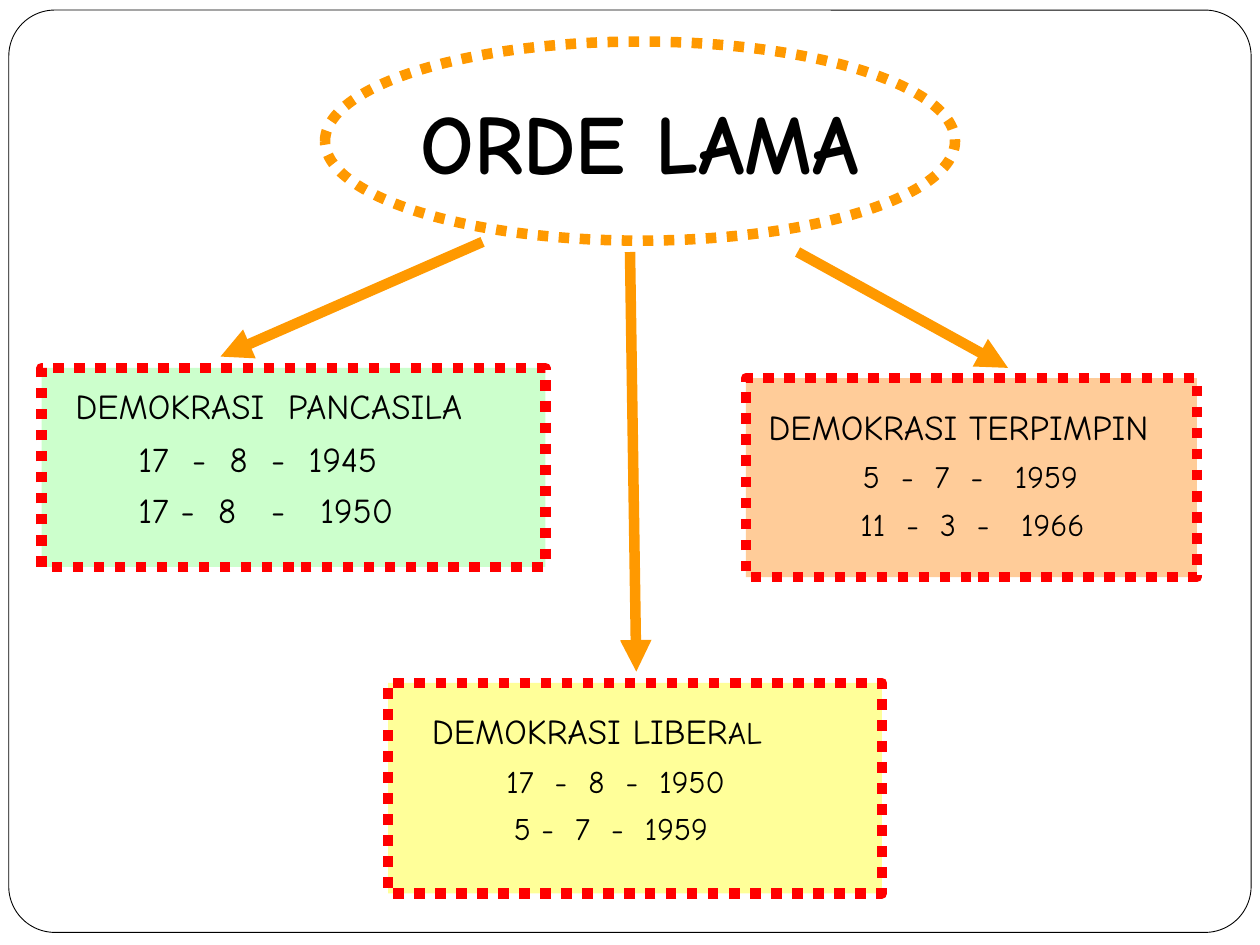
"""Build the ORDE LAMA slide: one title oval leading to three democracy periods."""
from dataclasses import dataclass

from lxml import etree
from pptx import Presentation
from pptx.dml.color import RGBColor
from pptx.enum.dml import MSO_LINE
from pptx.enum.shapes import MSO_CONNECTOR, MSO_SHAPE
from pptx.enum.text import MSO_ANCHOR, PP_ALIGN
from pptx.oxml.ns import qn
from pptx.util import Inches, Pt

RECTANGLE = MSO_SHAPE.RECTANGLE
ROUNDED = MSO_SHAPE.ROUNDED_RECTANGLE
OVAL = MSO_SHAPE.OVAL
STRAIGHT = MSO_CONNECTOR.STRAIGHT
DOTTED = MSO_LINE.ROUND_DOT
LEFT, CENTER = PP_ALIGN.LEFT, PP_ALIGN.CENTER
TOP, MIDDLE = MSO_ANCHOR.TOP, MSO_ANCHOR.MIDDLE

FONT = "Comic Neue"
BLACK, WHITE, RED, ORANGE = "000000", "FFFFFF", "FF0000", "FF9900"
THICK = 6


@dataclass
class Label:
    """A line of text, as (text, size) runs, in its own box."""
    runs: list[tuple[str, int]]
    box: tuple[float, float, float, float]


@dataclass
class Period:
    """A coloured panel, the arrow that leads to it and its labels."""
    box: tuple[float, float, float, float]
    fill: str
    arrow: tuple[float, float, float, float]
    labels: list[Label]


PERIODS = [
    Period((0.33, 2.92, 4, 1.58), "CCFFCC", (3.83, 1.92, 1.75, 2.83), [
        Label([("DEMOKRASI  PANCASILA", 20)], (0.5, 3, 3.75, 0.43)),
        Label([("17  -  8  -  1945", 20)], (1, 3.42, 2.35, 0.43)),
        Label([("17 -  8   -   1950", 20)], (1, 3.83, 2.31, 0.44)),
    ]),
    Period((5.92, 3, 3.58, 1.58), "FFCC99", (6.33, 2, 8, 2.92), [
        Label([("DEMOKRASI TERPIMPIN", 20)], (6, 3.17, 3.65, 0.44)),
        Label([("5  -  7  -   1959", 18)], (6.75, 3.58, 1.98, 0.4)),
        Label([("11  -  3  -   1966", 18)], (6.73, 3.96, 2.05, 0.4)),
    ]),
    Period((3.08, 5.42, 3.92, 1.67), "FFFF99", (5, 2, 5.05, 5.33), [
        Label([("DEMOKRASI LIBER", 20), ("AL", 18)], (3.33, 5.58, 3.37, 0.44)),
        Label([("17  -  8  -  1950", 18)], (3.92, 6, 2.01, 0.4)),
        Label([("5 -  7  -  1959", 18)], (3.98, 6.37, 1.82, 0.4)),
    ]),
]


def color(value: str) -> RGBColor:
    """Turn a hex string into a colour."""
    return RGBColor.from_string(value)


def write(shape, runs, *, bold=False, align=LEFT, anchor=TOP, wrap=True) -> None:
    """Write one paragraph of (text, size) runs into a shape."""
    frame = shape.text_frame
    frame.word_wrap = wrap
    frame.vertical_anchor = anchor
    paragraph = frame.paragraphs[0]
    paragraph.alignment = align
    for text, size in runs:
        run = paragraph.add_run()
        run.text = text
        run.font.name = FONT
        run.font.size = Pt(size)
        run.font.bold = bold
        run.font.color.rgb = color(BLACK)


def add_outline(slide, kind, box, *, line, width=THICK, fill=None, dash=None):
    """Add a preset shape with an outline and an optional fill."""
    shape = slide.shapes.add_shape(kind, *map(Inches, box))
    shape.shadow.inherit = False
    if fill:
        shape.fill.solid()
        shape.fill.fore_color.rgb = color(fill)
    else:
        shape.fill.background()
    shape.line.color.rgb = color(line)
    shape.line.width = Pt(width)
    if dash:
        shape.line.dash_style = dash
    return shape


def add_arrow(slide, ends: tuple[float, float, float, float]) -> None:
    """Add a thick orange arrow between two points."""
    arrow = slide.shapes.add_connector(STRAIGHT, *map(Inches, ends))
    arrow.line.color.rgb = color(ORANGE)
    arrow.line.width = Pt(THICK)
    etree.SubElement(arrow.line._get_or_add_ln(), qn("a:tailEnd"), type="triangle")
    etree.SubElement(arrow._element.spPr, qn("a:effectLst"))


def add_label(slide, label: Label) -> None:
    """Add a text box for a label."""
    write(slide.shapes.add_textbox(*map(Inches, label.box)), label.runs)


def main() -> None:
    """Build and save the slide."""
    presentation = Presentation()
    presentation.slide_width = Inches(10)
    presentation.slide_height = Inches(7.5)
    slide = presentation.slides.add_slide(presentation.slide_layouts[6])

    frame = add_outline(slide, ROUNDED, (0.07, 0.08, 9.86, 7.32),
                        line=BLACK, width=0.5, fill=WHITE)
    frame.adjustments[0] = 0.05
    title = add_outline(slide, OVAL, (2.58, 0.33, 5, 1.58), line=ORANGE, dash=DOTTED)
    write(title, [("ORDE LAMA", 48)], bold=True, align=CENTER, anchor=MIDDLE, wrap=False)

    for period in PERIODS:
        add_outline(slide, RECTANGLE, period.box, line=RED, fill=period.fill, dash=DOTTED)
        add_arrow(slide, period.arrow)
        for label in period.labels:
            add_label(slide, label)

    presentation.save("out.pptx")


if __name__ == "__main__":
    main()
